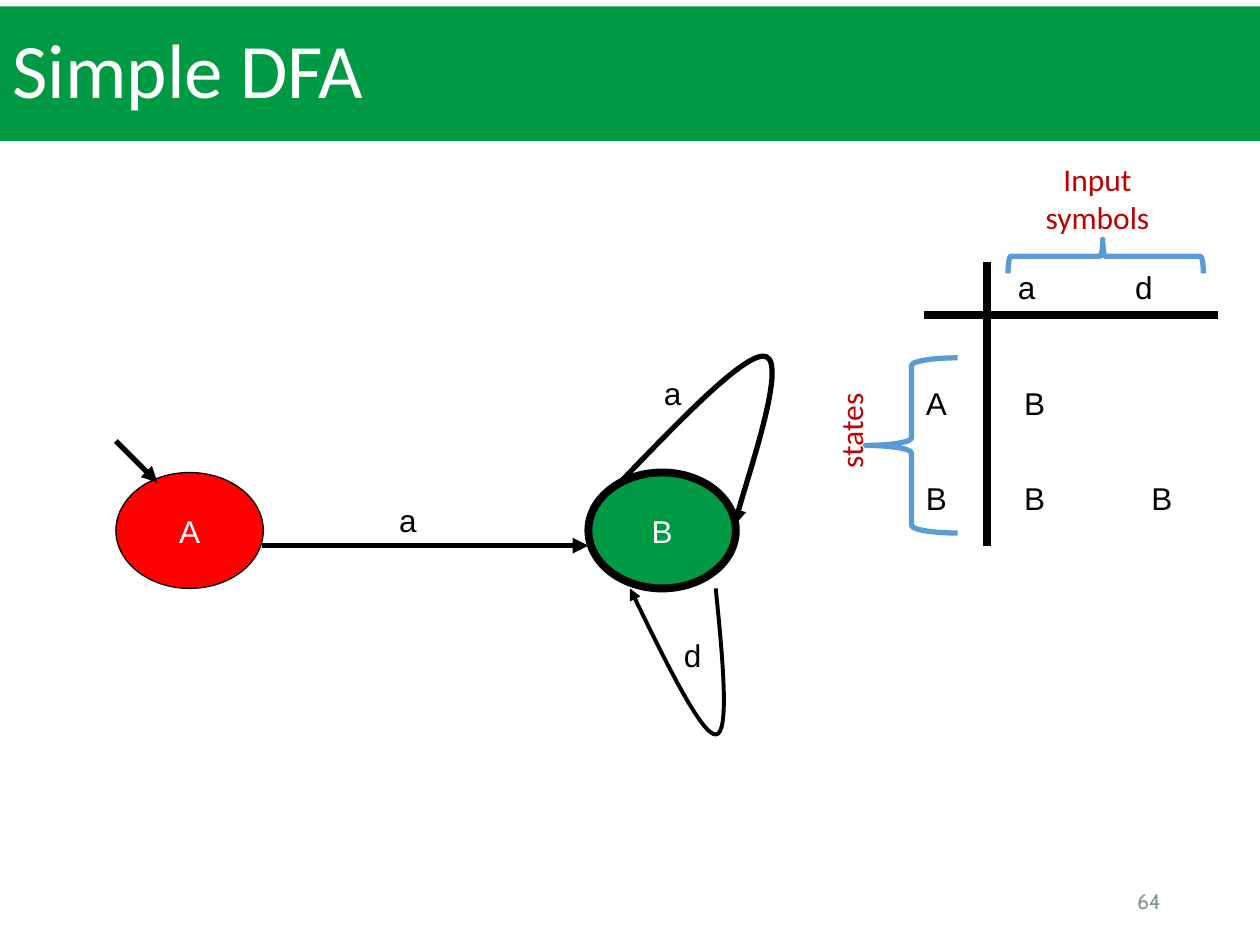
from lxml.etree import SubElement
from pptx import Presentation
from pptx.dml.color import RGBColor
from pptx.enum.shapes import MSO_CONNECTOR, MSO_SHAPE
from pptx.enum.text import MSO_ANCHOR, PP_ALIGN
from pptx.oxml.ns import qn
from pptx.util import Inches, Pt

GREEN = RGBColor(0x00, 0x9A, 0x44)
RED = RGBColor(0xFF, 0x00, 0x00)
DARK_RED = RGBColor(0xC0, 0x00, 0x00)
BLUE = RGBColor(0x5B, 0x9B, 0xD5)
GRAY = RGBColor(0x7B, 0x98, 0x99)
BLACK = RGBColor(0x00, 0x00, 0x00)
WHITE = RGBColor(0xFF, 0xFF, 0xFF)


def write(sp, text, color=BLACK, font="Arial", size=18, align=PP_ALIGN.LEFT,
          anchor=MSO_ANCHOR.MIDDLE, wrap=True):
    tf = sp.text_frame
    tf.word_wrap = wrap
    tf.vertical_anchor = anchor
    p = tf.paragraphs[0]
    p.alignment = align
    r = p.add_run()
    r.text = text
    r.font.name = font
    r.font.size = Pt(size)
    r.font.color.rgb = color
    return p


def add_label(slide, box, text, tabs=(), **style):
    sp = slide.shapes.add_textbox(*map(Inches, box))
    p = write(sp, text, **style)
    if tabs:
        tab_list = SubElement(p._p.get_or_add_pPr(), qn("a:tabLst"))
        for pos in tabs:
            SubElement(tab_list, qn("a:tab"), pos=str(Inches(pos)), algn="l")


def add_block(slide, kind, box, fill=None, line=None, width=1, rotation=0):
    sp = slide.shapes.add_shape(kind, *map(Inches, box))
    sp.shadow.inherit = False
    sp.rotation = rotation
    if fill is None:
        sp.fill.background()
    else:
        sp.fill.solid()
        sp.fill.fore_color.rgb = fill
    if line is None:
        sp.line.fill.background()
    else:
        sp.line.color.rgb = line
        sp.line.width = Pt(width)
    return sp


def add_state(slide, x, name, fill, width):
    sp = add_block(slide, MSO_SHAPE.OVAL, (x, 3.75, 1.17, 0.92), fill, BLACK, width)
    write(sp, name, WHITE, align=PP_ALIGN.CENTER, wrap=False)


def add_caption(slide, box, text, rotation=0):
    sp = add_block(slide, MSO_SHAPE.RECTANGLE, box, WHITE, WHITE, rotation=rotation)
    write(sp, text, DARK_RED, "Calibri", align=PP_ALIGN.CENTER)


def add_brace(slide, box, rotation=0, middle=0.5):
    sp = add_block(slide, MSO_SHAPE.LEFT_BRACE, box, None, BLUE, 3, rotation)
    sp.adjustments[0] = 0.083
    sp.adjustments[1] = middle


def style_line(sp, width, arrow):
    sp.line.color.rgb = BLACK
    sp.line.width = Pt(width)
    if arrow:
        SubElement(sp.line._get_or_add_ln(), qn("a:tailEnd"), type="triangle")


def add_line(slide, start, end, width, arrow=False):
    cn = slide.shapes.add_connector(
        MSO_CONNECTOR.STRAIGHT, *map(Inches, start + end))
    style_line(cn, width, arrow)
    SubElement(cn._element.spPr, qn("a:effectLst"))


def add_loop(slide, points, width):
    start, *rest = [(Inches(x), Inches(y)) for x, y in points]
    builder = slide.shapes.build_freeform(*start)
    builder.add_line_segments(rest, close=False)
    sp = builder.convert_to_shape()
    sp.shadow.inherit = False
    sp.fill.background()
    style_line(sp, width, True)
    segments = list(sp._element.iter(qn("a:lnTo")))
    outline = segments[0].getparent()
    for i in range(0, len(segments), 3):
        curve = SubElement(outline, qn("a:cubicBezTo"))
        for segment in segments[i:i + 3]:
            curve.append(segment[0])
            outline.remove(segment)


def add_transition_table(slide):
    add_line(slide, (7.33, 2.5), (9.67, 2.5), 4.5)
    add_line(slide, (7.83, 2.08), (7.83, 4.33), 4.5)
    add_label(slide, (7.98, 2.08, 1.61, 0.4), "a\td", tabs=[0.93])
    add_label(slide, (7.25, 3, 1.25, 0.4), "A\tB", tabs=[0.78])
    add_label(slide, (7.25, 3.75, 2.25, 0.4), "B\tB\tB", tabs=[0.78, 1.79])
    add_caption(slide, (8, 1.32, 1.42, 0.5), "Input symbols")
    add_caption(slide, (6.2, 3.17, 1.1, 0.5), "states", rotation=270)
    add_brace(slide, (6.87, 2.84, 0.73, 1.39))
    add_brace(slide, (8.64, 1.26, 0.27, 1.55), rotation=90, middle=0.515)


def add_automaton(slide):
    add_state(slide, 0.92, "A", RED, 0.75)
    add_state(slide, 4.67, "B", GREEN, 4.5)
    add_line(slide, (2.08, 4.33), (4.67, 4.33), 3, arrow=True)
    add_line(slide, (0.92, 3.5), (1.25, 3.83), 3, arrow=True)
    add_loop(slide, [(5.68, 4.67), (5.74, 5.25), (5.79, 5.83), (5.68, 5.83),
                     (5.57, 5.83), (5.28, 5.25), (5, 4.67)], 2.25)
    add_loop(slide, [(4.92, 3.83), (5.42, 3.31), (5.93, 2.78), (6.08, 2.83),
                     (6.24, 2.89), (5.88, 3.94), (5.83, 4.17)], 3)
    add_label(slide, (3.07, 3.93, 0.58, 0.4), "a")
    add_label(slide, (5.17, 2.92, 0.75, 0.4), "a")
    add_label(slide, (5.33, 5, 0.5, 0.4), "d")


def main():
    prs = Presentation()
    prs.slide_width = Inches(10)
    prs.slide_height = Inches(7.5)
    slide = prs.slides.add_slide(prs.slide_layouts[6])
    title = add_block(slide, MSO_SHAPE.RECTANGLE, (0, 0.05, 10, 1.07), GREEN)
    write(title, "Simple DFA", WHITE, "Calibri", 44).line_spacing = 0.9
    add_label(slide, (7.06, 6.95, 2.25, 0.4), "64", color=GRAY, font="Cabin",
              size=12, align=PP_ALIGN.RIGHT)
    add_automaton(slide)
    add_transition_table(slide)
    prs.save("out.pptx")


if __name__ == "__main__":
    main()
